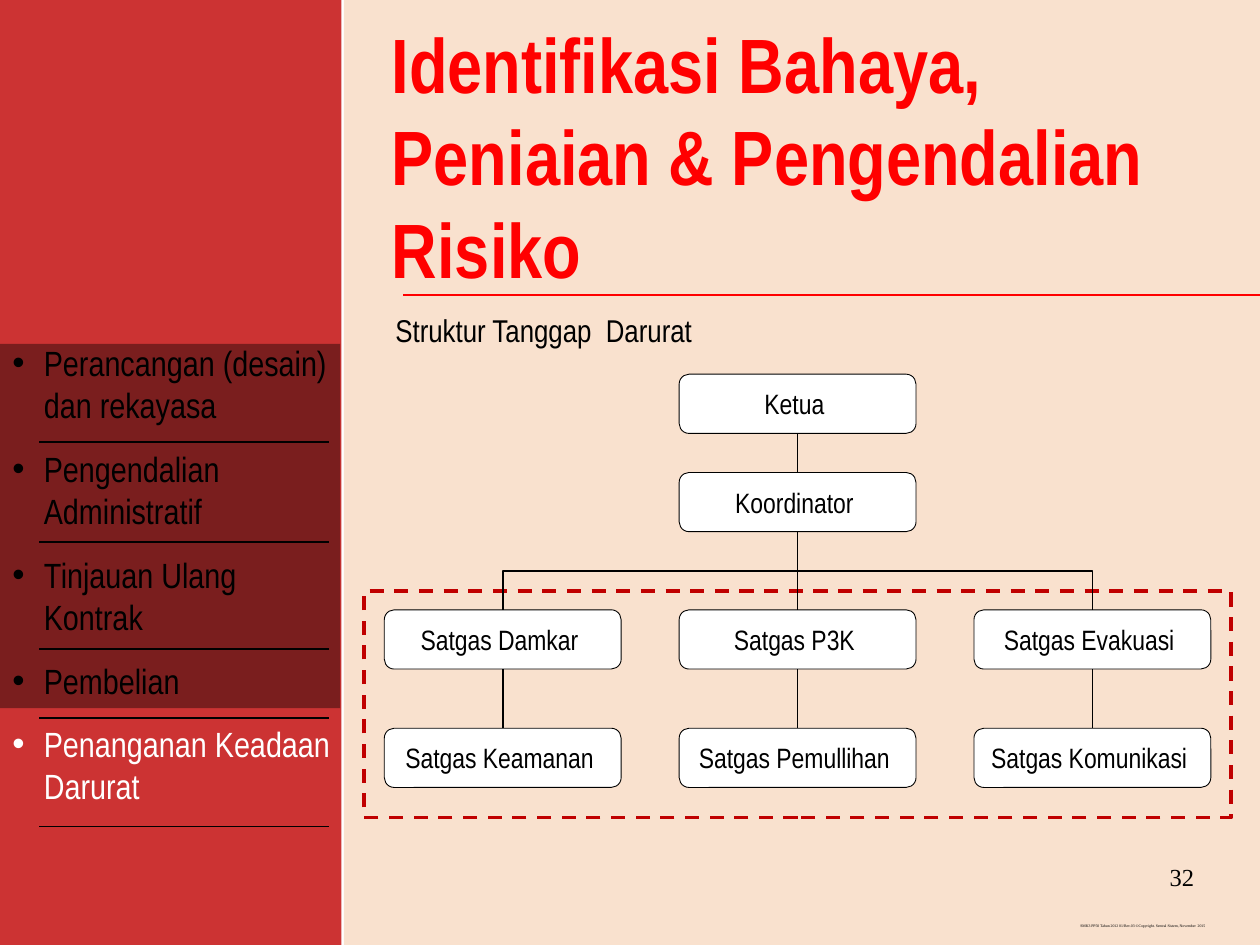
from dataclasses import dataclass

from lxml import etree
from pptx import Presentation
from pptx.dml.color import RGBColor
from pptx.enum.dml import MSO_LINE
from pptx.enum.shapes import MSO_CONNECTOR, MSO_SHAPE
from pptx.enum.text import MSO_ANCHOR, MSO_AUTO_SIZE, PP_ALIGN
from pptx.oxml.ns import qn
from pptx.util import Inches, Pt

RECT, ROUNDED = MSO_SHAPE.RECTANGLE, MSO_SHAPE.ROUNDED_RECTANGLE
STRAIGHT, ELBOW = MSO_CONNECTOR.STRAIGHT, MSO_CONNECTOR.ELBOW
LEFT, CENTER, RIGHT = PP_ALIGN.LEFT, PP_ALIGN.CENTER, PP_ALIGN.RIGHT
TOP, MIDDLE = MSO_ANCHOR.TOP, MSO_ANCHOR.MIDDLE
NO_AUTOFIT = MSO_AUTO_SIZE.NONE
NARROW, SERIF = "Arial Narrow", "Times New Roman"
BLACK, WHITE, RED, DARK_RED, ORANGE = "000000", "FFFFFF", "FF0000", "C00000", "E46C0A"

BOX_W, BOX_H = 1.88, 0.47
FIRST_COLUMN, COLUMN_STEP = 3.05, 2.34
KETUA_Y, KOORDINATOR_Y, TEAM_YS = 2.97, 3.75, (4.84, 5.78)
TEAMS = [
    ("Satgas Damkar ", "Satgas Keamanan "),
    ("Satgas P3K ", "Satgas Pemullihan "),
    ("Satgas Evakuasi ", "Satgas Komunikasi "),
]


@dataclass
class Panel:
    left: float
    top: float
    width: float
    height: float
    color: str
    opacity: int


@dataclass
class Topic:
    label: str
    color: str
    rule_y: float


BACKDROPS = [
    Panel(2.73, 0, 7.27, 7.5, ORANGE, 20),
    Panel(0, 0, 2.71, 7.5, DARK_RED, 80),
]
TOPIC_SHADE = Panel(0, 2.73, 2.7, 2.89, BLACK, 40)
TOPICS = [
    Topic("Perancangan (desain) dan rekayasa", BLACK, 3.51),
    Topic("Pengendalian Administratif", BLACK, 4.3),
    Topic("Tinjauan Ulang Kontrak", BLACK, 5.15),
    Topic("Pembelian", BLACK, 5.7),
    Topic("Penanganan Keadaan Darurat", WHITE, 6.56),
]


def rgb(color: str) -> RGBColor:
    return RGBColor.from_string(color)


def style_text(paragraph, size, color=BLACK, font=NARROW, bold=False, align=LEFT):
    paragraph.alignment = align
    settings = {"size": Pt(size), "name": font, "bold": bold}
    for run in paragraph.runs:
        for attribute, value in settings.items():
            setattr(run.font, attribute, value)
        run.font.color.rgb = rgb(color)


def fill_frame(frame, text, size, anchor=TOP, wrap=True, **style):
    settings = {"auto_size": NO_AUTOFIT, "word_wrap": wrap, "vertical_anchor": anchor}
    for attribute, value in settings.items():
        setattr(frame, attribute, value)
    frame.text = text
    style_text(frame.paragraphs[0], size, **style)


def add_label(slide, left, top, width, height, text, size, **style):
    label = slide.shapes.add_textbox(*map(Inches, (left, top, width, height)))
    fill_frame(label.text_frame, text, size, **style)
    return label


def add_panel(slide, panel: Panel):
    shape = slide.shapes.add_shape(
        RECT, *map(Inches, (panel.left, panel.top, panel.width, panel.height)))
    shape.shadow.inherit = False
    shape.line.fill.background()
    shape.fill.solid()
    shape.fill.fore_color.rgb = rgb(panel.color)
    color = shape.fill._xPr.find(f".//{qn('a:srgbClr')}")
    etree.SubElement(color, qn("a:alpha"), val=str(panel.opacity * 1000))


def add_box(slide, left: float, top: float, role: str):
    box = slide.shapes.add_shape(ROUNDED, *map(Inches, (left, top, BOX_W, BOX_H)))
    box.shadow.inherit = False
    box.fill.solid()
    box.fill.fore_color.rgb = rgb(WHITE)
    box.line.color.rgb = rgb(BLACK)
    box.line.width = Pt(0.5)
    fill_frame(box.text_frame, role, 16, anchor=MIDDLE, align=CENTER)
    return box


def add_line(slide, start=(0, 0), end=(0, 0), color=BLACK, kind=STRAIGHT):
    line = slide.shapes.add_connector(kind, *map(Inches, (*start, *end)))
    line.line.color.rgb = rgb(color)
    line.line.width = Pt(1)
    etree.SubElement(line._element.spPr, qn("a:effectLst"))
    return line


def join(slide, upper, lower):
    """Connect the bottom of one box to the top of another."""
    straight = upper.left == lower.left
    line = add_line(slide, kind=STRAIGHT if straight else ELBOW)
    line.begin_connect(upper, 2)
    line.end_connect(lower, 0)
    if not straight:
        turn_elbow(line)


def turn_elbow(line):
    """Rotate an elbow so that it leaves and arrives vertically."""
    to_left = line.end_x < line.begin_x
    across, down = line.width, line.height
    middle_x, middle_y = line.left + across // 2, line.top + down // 2
    frame = line._element.spPr.find(qn("a:xfrm"))
    for flip in ("flipH", "flipV"):
        frame.attrib.pop(flip, None)
    frame.set("rot", str((90 if to_left else 270) * 60000))
    if not to_left:
        frame.set("flipH", "1")
    line.left, line.top = middle_x - down // 2, middle_y - across // 2
    line.width, line.height = down, across


def add_bullet(paragraph, color: str):
    properties = paragraph._p.get_or_add_pPr()
    properties.set("marL", str(Inches(0.25)))
    properties.set("indent", str(-Inches(0.25)))
    bullet_color = etree.SubElement(properties, qn("a:buClr"))
    etree.SubElement(bullet_color, qn("a:srgbClr"), val=color)
    etree.SubElement(properties, qn("a:buFont"), typeface="Arial")
    etree.SubElement(properties, qn("a:buChar"), char="•")


def add_topics(slide):
    box = slide.shapes.add_textbox(*map(Inches, (0, 2.66, 2.73, 3.8)))
    frame = box.text_frame
    frame.word_wrap = True
    for index, topic in enumerate(TOPICS):
        paragraph = frame.add_paragraph() if index else frame.paragraphs[0]
        paragraph.text = topic.label
        add_bullet(paragraph, topic.color)
        paragraph.space_before = Pt(12.5 if index else 0)
        style_text(paragraph, 20, topic.color)
        add_line(slide, (0.31, topic.rule_y), (2.61, topic.rule_y))


def add_title(slide):
    title = slide.shapes.title
    title.left, title.top, title.width, title.height = map(Inches, (3.01, 0.08, 6.99, 2.3))
    fill_frame(title.text_frame, "Identifikasi Bahaya, Peniaian & Pengendalian Risiko", 44,
               color=RED, bold=True)
    slide.shapes._spTree.append(title._element)  # in front of the backdrops
    add_line(slide, (3.2, 2.34), (10, 2.34), RED)


def add_organisation(slide):
    columns = [FIRST_COLUMN + i * COLUMN_STEP for i in range(len(TEAMS))]
    ketua = add_box(slide, columns[1], KETUA_Y, "Ketua ")
    koordinator = add_box(slide, columns[1], KOORDINATOR_Y, "Koordinator ")
    teams = [[add_box(slide, left, top, role) for top, role in zip(TEAM_YS, roles)]
             for left, roles in zip(columns, TEAMS)]
    team_border = slide.shapes.add_shape(RECT, *map(Inches, (2.89, 4.69, 6.88, 1.8)))
    team_border.shadow.inherit = False
    team_border.fill.background()
    team_border.line.color.rgb = rgb(DARK_RED)
    team_border.line.width = Pt(2)
    team_border.line.dash_style = MSO_LINE.DASH
    join(slide, ketua, koordinator)
    for upper, lower in teams:
        join(slide, koordinator, upper)
        join(slide, upper, lower)


def main():
    deck = Presentation()
    deck.slide_width, deck.slide_height = Inches(10), Inches(7.5)
    slide = deck.slides.add_slide(deck.slide_layouts[5])
    for panel in BACKDROPS:
        add_panel(slide, panel)
    add_title(slide)
    add_topics(slide)
    add_panel(slide, TOPIC_SHADE)
    add_label(slide, 3.04, 2.42, 2.58, 0.4, "Struktur Tanggap  Darurat", 18, wrap=False)
    add_organisation(slide)
    footer = add_label(
        slide, 5.16, 7.28, 4.5, 0.15,
        "SMK3 PP50 Tahun 2012 01/Rev.03 ©Copyright. Sentral Sistem, November  2015",
        2.2, font=SERIF, anchor=MIDDLE, align=RIGHT)
    footer.text_frame.paragraphs[0].line_spacing = 0.8
    add_label(slide, 9.1, 6.79, 0.56, 0.4, "32", 14, font=SERIF, align=CENTER)
    deck.save("out.pptx")


if __name__ == "__main__":
    main()
